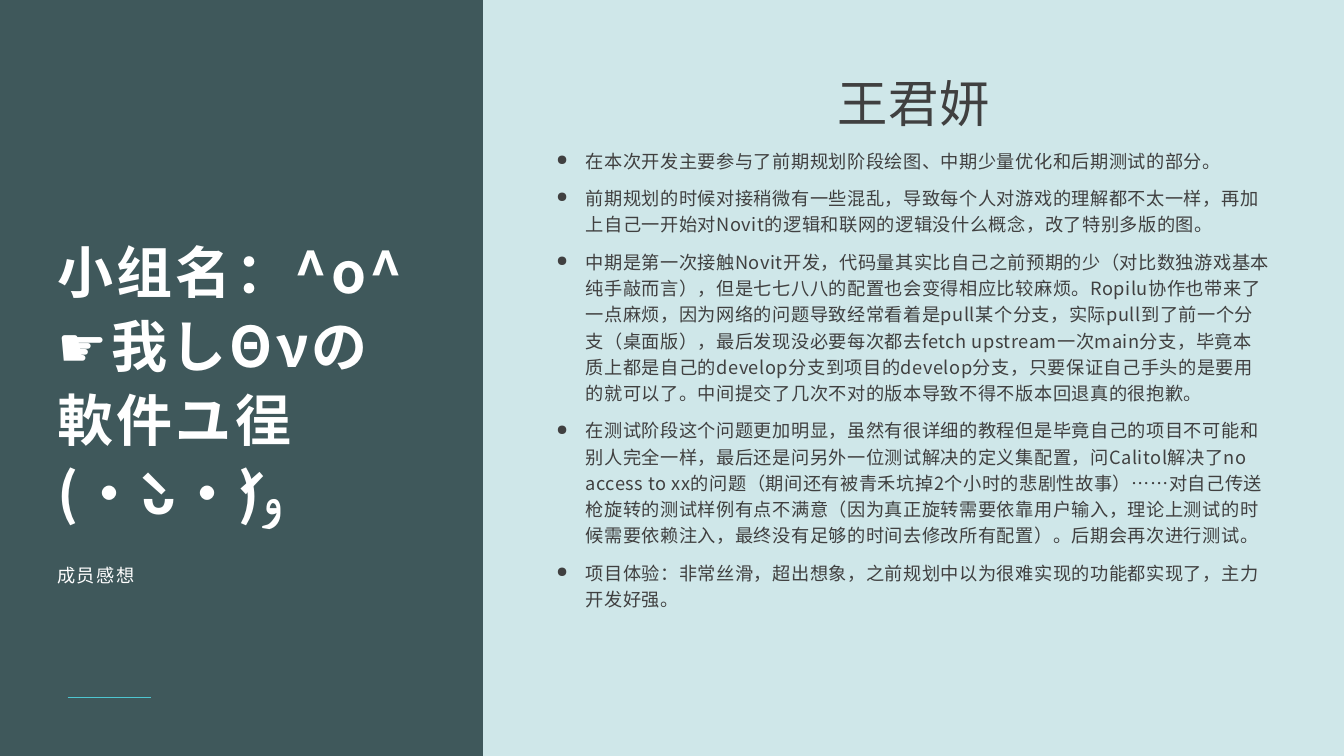
from lxml.etree import SubElement
from pptx import Presentation
from pptx.dml.color import RGBColor
from pptx.enum.shapes import MSO_CONNECTOR as Connector, MSO_SHAPE as Shape
from pptx.enum.text import MSO_ANCHOR as Anchor, MSO_AUTO_SIZE as AutoSize, PP_ALIGN as Align
from pptx.oxml.ns import qn
from pptx.util import Inches, Pt

WIDTH, HEIGHT = 40 / 3, 7.5
MARGIN = 0.67
PANEL_WIDTH = 4.79
FONT = "Noto Sans CJK SC"
COLORS = {
    "background": "CFE7E9",
    "panel": "3F585B",
    "accent": "4EC6D1",
    "light": "FFFFFF",
    "dark": "404040",
}
GROUP_NAME = "小组名：^o^☛我しΘνの軟件ユ徎(•̀ᴗ•́)و"
SECTION = "成员感想"
MEMBER = "王君妍"
THOUGHTS = [
    "在本次开发主要参与了前期规划阶段绘图、中期少量优化和后期测试的部分。",
    "前期规划的时候对接稍微有一些混乱，导致每个人对游戏的理解都不太一样，再加上自己一开始对Novit的逻辑和联网的逻辑没什么概念，改了特别多版的图。",
    "中期是第一次接触Novit开发，代码量其实比自己之前预期的少（对比数独游戏基本纯手敲而言），但是七七八八的配置也会变得相应比较麻烦。Ropilu协作也带来了一点麻烦，因为网络的问题导致经常看着是pull某个分支，实际pull到了前一个分支（桌面版），最后发现没必要每次都去fetch upstream一次main分支，毕竟本质上都是自己的develop分支到项目的develop分支，只要保证自己手头的是要用的就可以了。中间提交了几次不对的版本导致不得不版本回退真的很抱歉。",
    "在测试阶段这个问题更加明显，虽然有很详细的教程但是毕竟自己的项目不可能和别人完全一样，最后还是问另外一位测试解决的定义集配置，问Calitol解决了no access to xx的问题（期间还有被青禾坑掉2个小时的悲剧性故事）……对自己传送枪旋转的测试样例有点不满意（因为真正旋转需要依靠用户输入，理论上测试的时候需要依赖注入，最终没有足够的时间去修改所有配置）。后期会再次进行测试。",
    "项目体验：非常丝滑，超出想象，之前规划中以为很难实现的功能都实现了，主力开发好强。",
]


def color(name):
    return RGBColor.from_string(COLORS[name])


def add_bullet(para, indent=0.29):
    properties = para._p.get_or_add_pPr()
    properties.set("marL", str(Inches(indent)))
    properties.set("indent", str(-Inches(indent)))
    SubElement(properties, qn("a:buSzPct"), val="80000")
    SubElement(properties, qn("a:buChar"), char="●")


def add_text(page, box, texts, size, ink, bold=False, tracking=0, anchor=Anchor.TOP,
             align=Align.LEFT, line_spacing=None, after=0, bullet=False,
             insets=(0.07, 0.03), grow=False):
    frame = page.shapes.add_textbox(*map(Inches, box)).text_frame
    frame.word_wrap = True
    frame.auto_size = AutoSize.SHAPE_TO_FIT_TEXT if grow else AutoSize.NONE
    frame.vertical_anchor = anchor
    frame.margin_left = frame.margin_right = Inches(insets[0])
    frame.margin_top = frame.margin_bottom = Inches(insets[1])
    for index, text in enumerate(texts):
        para = frame.add_paragraph() if index else frame.paragraphs[0]
        if bullet:
            add_bullet(para)
        para.alignment = align
        para.line_spacing = line_spacing
        para.space_after = Pt(after)
        span = para.add_run()
        span.text = text
        span.font.size = Pt(size)
        span.font.bold = bold
        span.font.color.rgb = color(ink)
        span.font.name = FONT
        properties = span._r.get_or_add_rPr()
        properties.set("spc", str(round(tracking * 100)))
        for script in ("a:ea", "a:cs"):
            SubElement(properties, qn(script), typeface=FONT)


def add_group_panel(page, left, top, width, height):
    panel = page.shapes.add_shape(Shape.RECTANGLE, *map(Inches, (left, top, width, height)))
    panel.shadow.inherit = False
    panel.fill.solid()
    panel.fill.fore_color.rgb = color("panel")
    panel.line.fill.background()

    rule_left, rule_top = left + MARGIN, top + 6.92
    rule = page.shapes.add_connector(
        Connector.STRAIGHT, *map(Inches, (rule_left, rule_top, rule_left + 0.83, rule_top)))
    rule.line.color.rgb = color("accent")
    rule.line.width = Pt(1)
    SubElement(rule._element.spPr, qn("a:effectLst"))

    text_left, text_width = left + 0.5, width - 1.01
    add_text(page, (text_left, top + MARGIN, text_width, 4.58), [GROUP_NAME], 40, "light",
             bold=True, tracking=2.4, anchor=Anchor.BOTTOM, line_spacing=1.1)
    add_text(page, (text_left, top + 5.57, text_width, 1.26), [SECTION], 13, "light",
             tracking=1, after=8)


def add_thoughts(page, left, top, width, height):
    add_text(page, (left, top, width, height), THOUGHTS, 13, "dark", tracking=0.4,
             anchor=Anchor.MIDDLE, line_spacing=1.2, after=8, bullet=True)
    add_text(page, (left + 0.28, top, width - 0.55, 0.71), [MEMBER], 36, "dark",
             tracking=0.4, align=Align.CENTER, insets=(0.1, 0.05), grow=True)


def main():
    deck = Presentation()
    deck.slide_width, deck.slide_height = Inches(WIDTH), Inches(HEIGHT)
    page = deck.slides.add_slide(deck.slide_layouts[6])
    page.background.fill.solid()
    page.background.fill.fore_color.rgb = color("background")
    add_group_panel(page, 0, 0, PANEL_WIDTH, HEIGHT)
    add_thoughts(page, PANEL_WIDTH + 0.66, MARGIN, 7.22, HEIGHT - 2 * MARGIN)
    deck.save("out.pptx")


if __name__ == "__main__":
    main()
